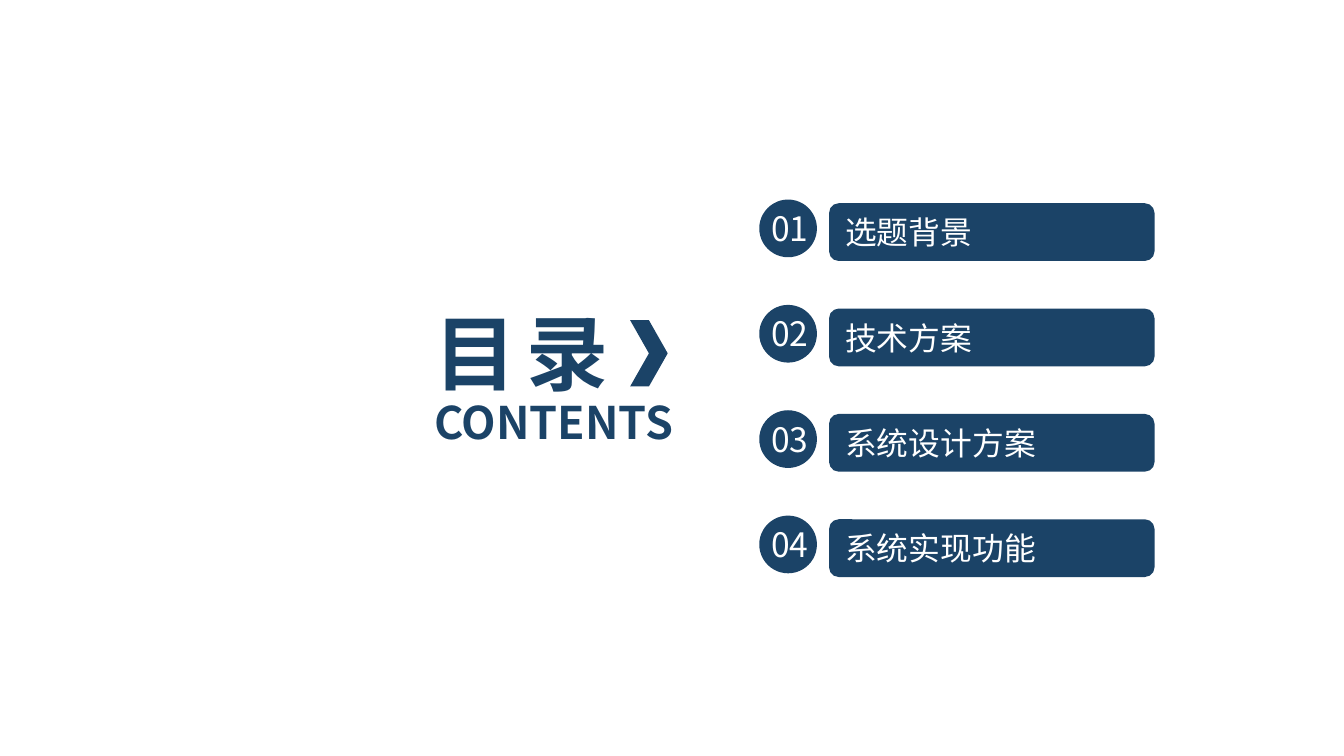
from lxml.etree import SubElement
from pptx import Presentation
from pptx.dml.color import RGBColor
from pptx.enum.shapes import MSO_SHAPE
from pptx.enum.text import MSO_ANCHOR, MSO_AUTO_SIZE, PP_ALIGN
from pptx.oxml.ns import qn
from pptx.util import Cm, Pt

COLORS = {"navy": "1B4367", "white": "FFFFFF"}
FONT = "Noto Sans CJK SC"
TOPICS = ["选题背景", "技术方案", "系统设计方案", "系统实现功能"]


def box(left, top, width, height):
    return Cm(left), Cm(top), Cm(width), Cm(height)


def write(holder, text, size, color, bold=False, align=PP_ALIGN.LEFT, tracking=0):
    frame = holder.text_frame
    frame.word_wrap = True
    frame.auto_size = MSO_AUTO_SIZE.NONE
    frame.vertical_anchor = MSO_ANCHOR.MIDDLE
    paragraph = frame.paragraphs[0]
    paragraph.alignment = align
    paragraph.space_before = Pt(0)
    run = paragraph.add_run()
    run.text = text
    run.font.size = Pt(size)
    run.font.bold = bold
    run.font.name = FONT
    run.font.color.rgb = RGBColor.from_string(COLORS[color])
    properties = run.font._element
    SubElement(properties, qn("a:ea")).set("typeface", FONT)
    if tracking:
        properties.set("spc", str(round(tracking * 100)))


def add_solid(shapes, preset, bounds):
    solid = shapes.add_shape(preset, *bounds)
    solid.shadow.inherit = False
    solid.fill.solid()
    solid.fill.fore_color.rgb = RGBColor.from_string(COLORS["navy"])
    solid.line.fill.background()
    return solid


def place(placeholder, bounds):
    placeholder.left, placeholder.top, placeholder.width, placeholder.height = bounds


def add_heading(slide, left, top):
    title, subtitle = slide.placeholders
    place(title, box(left, top, 5.97, 2.13))
    write(title, "目 录", 44, "navy", bold=True, tracking=-2.2)
    place(subtitle, box(left, top + 1.75, 5.87, 1.27))
    write(subtitle, "CONTENTS", 24, "navy", bold=True)
    add_solid(slide.shapes, MSO_SHAPE.CHEVRON, box(left + 3.96, top + 0.48, 0.71, 1.25))


def add_topic(slide, number, topic, left, top):
    # Title bar
    bar = add_solid(slide.shapes, MSO_SHAPE.ROUNDED_RECTANGLE,
                    box(left + 1.4, top + 0.07, 6.15, 1.09))
    write(bar, topic, 17, "white")
    # Numbered disc
    badge = slide.shapes.add_group_shape()
    add_solid(badge.shapes, MSO_SHAPE.OVAL, box(left + 0.08, top, 1.09, 1.09))
    label = badge.shapes.add_textbox(*box(left, top + 0.03, 1.32, 1.02))
    write(label, f"{number:02d}", 18, "white", align=PP_ALIGN.CENTER)


def add_topics(slide, left, top, pitch):
    for index, topic in enumerate(TOPICS):
        add_topic(slide, index + 1, topic, left, top + index * pitch)


def main():
    deck = Presentation()
    deck.slide_width, deck.slide_height = Cm(25.4), Cm(14.28)
    contents = deck.slides.add_slide(deck.slide_layouts[0])
    add_heading(contents, left=7.95, top=5.57)
    add_topics(contents, left=14.27, top=3.77, pitch=1.99)
    deck.save("out.pptx")


if __name__ == "__main__":
    main()
